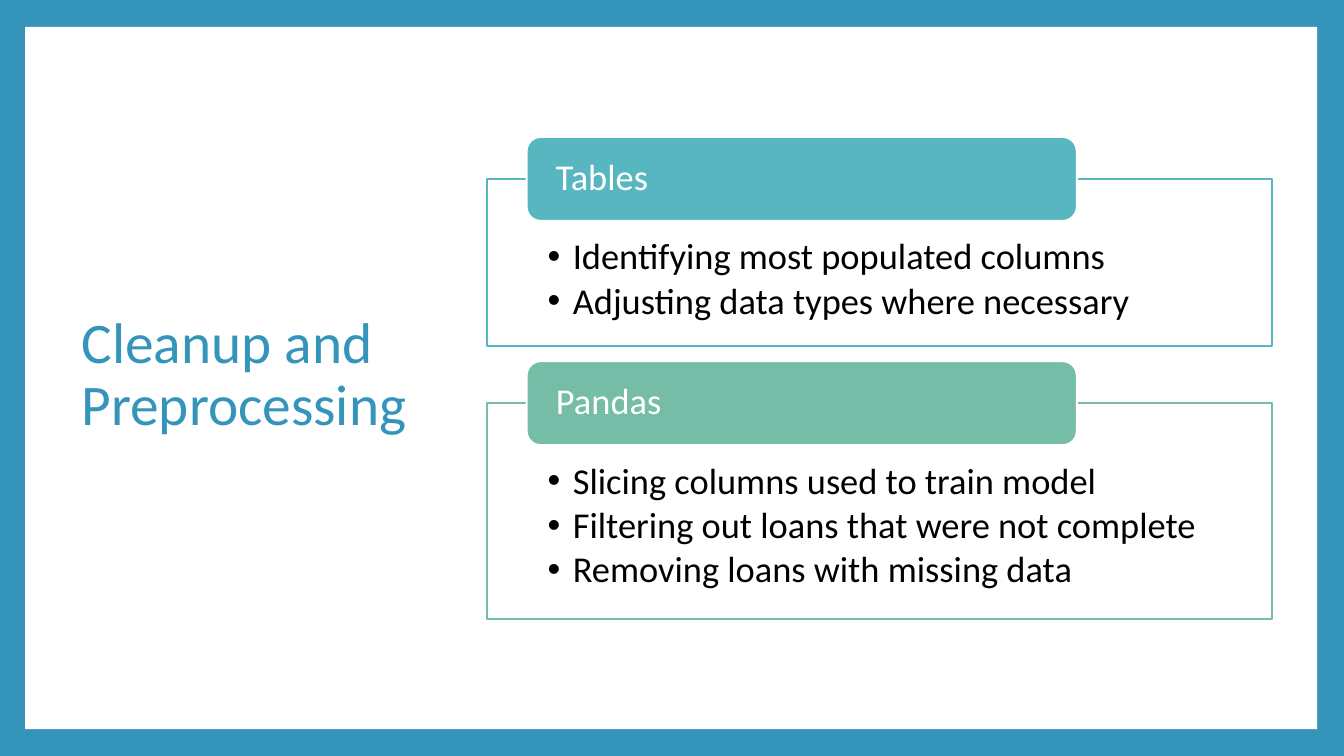
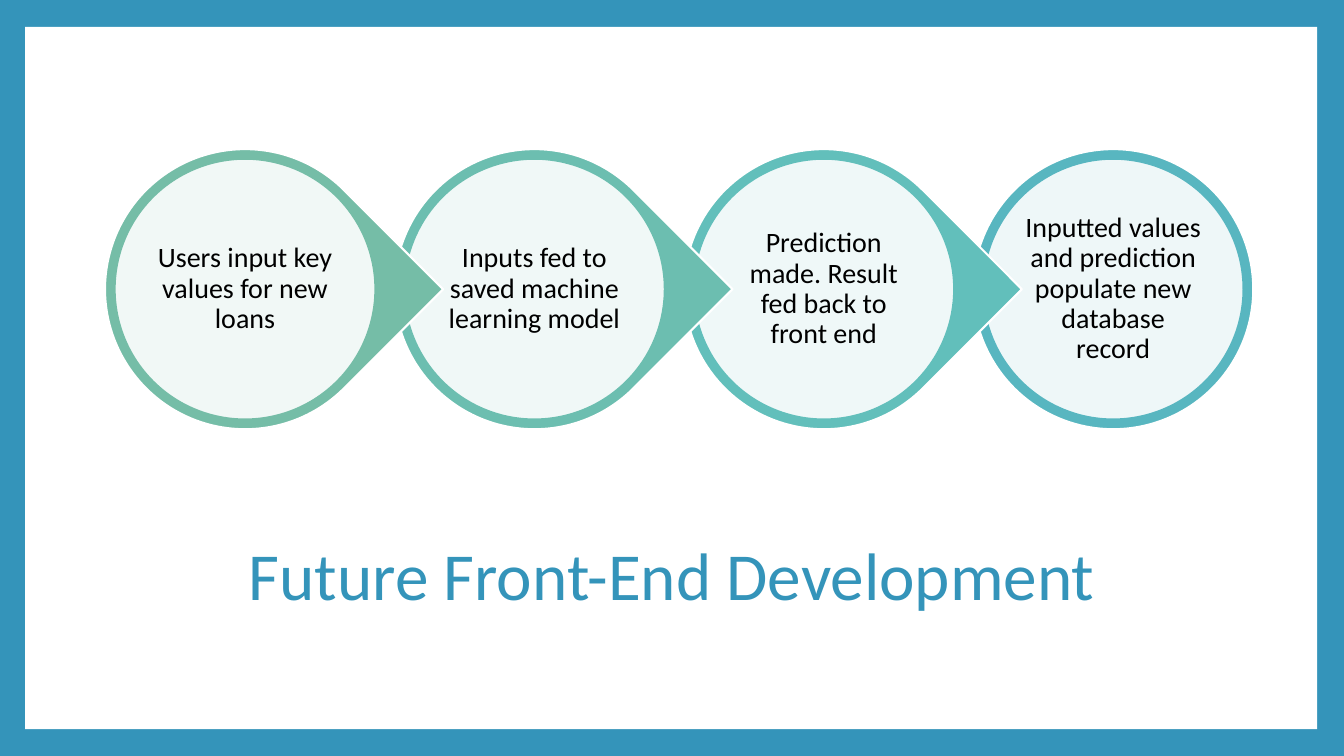
"""Build two slides on data cleanup and front-end plans, on a square grid of 160 columns by 90 rows."""
import pptx
import pptx.dml.color
import pptx.enum.shapes
import pptx.enum.text
import pptx.oxml
import pptx.oxml.ns
import pptx.util

COLS, ROWS = 160, 90
CELL = pptx.util.Inches(13.333) / COLS
FONT = "Calibri"
INK = {
    "blue": "3494BA", "white": "FFFFFF", "black": "000000",
    "aqua": "58B6C0", "teal": "62BFBB", "mint": "6CBEB0", "sage": "75BDA7",
}
KIND = pptx.enum.shapes.MSO_SHAPE
LEFT = pptx.enum.text.PP_ALIGN.LEFT
MID = pptx.enum.text.PP_ALIGN.CENTER
TOP = pptx.enum.text.MSO_ANCHOR.TOP
HALF = pptx.enum.text.MSO_ANCHOR.MIDDLE

PANEL = (3, 3.2, 153.8, 83.6)
TOOLS = [
    ("Tables", "aqua", ["Identifying most populated columns",
                        "Adjusting data types where necessary"]),
    ("Pandas", "sage", ["Slicing columns used to train model",
                        "Filtering out loans that were not complete",
                        "Removing loans with missing data"]),
]
STEPS = [
    ("Users input key values for new loans", "sage"),
    ("Inputs fed to saved machine learning model", "mint"),
    ("Prediction made. Result fed back to front end", "teal"),
    ("Inputted values and prediction populate new database record", "aqua"),
]


def span(cells):
    return pptx.util.Emu(round(cells * CELL))


def tint(name):
    return pptx.dml.color.RGBColor.from_string(INK[name])


def node(tag, **attrs):
    item = pptx.oxml.parse_xml(f"<a:{tag} {pptx.oxml.ns.nsdecls('a')}/>")
    for key, value in attrs.items():
        item.set(key, str(value))
    return item


def write(shape, lines, size, color="black", align=LEFT, anchor=HALF,
          pads=(1.2, 0.6, 1.2, 0.6), after=0, mark=None):
    frame = shape.text_frame
    frame.text = "\n".join(lines)
    frame.word_wrap = True
    frame.auto_size = pptx.enum.text.MSO_AUTO_SIZE.NONE
    frame.vertical_anchor = anchor
    (frame.margin_left, frame.margin_top,
     frame.margin_right, frame.margin_bottom) = map(span, pads)
    for para in frame.paragraphs:
        para.alignment = align
        para.line_spacing = 0.9
        para.space_after = pptx.util.Pt(after)
        para.font.size = pptx.util.Pt(size)
        para.font.name = FONT
        para.font.color.rgb = tint(color)
        if mark:
            props = para._p.get_or_add_pPr()
            props.set("marL", str(span(3)))
            props.set("indent", str(span(-3)))
            props.append(node("buFont", typeface="Arial"))
            props.append(node("buChar", char=mark))


def draw(slide, kind, area, fill, line=None, alpha=None):
    shape = slide.shapes.add_shape(kind, *map(span, area))
    shape.shadow.inherit = False
    shape.fill.solid()
    shape.fill.fore_color.rgb = tint(fill)
    if alpha:
        tone = shape._element.spPr.find(".//" + pptx.oxml.ns.qn("a:srgbClr"))
        tone.append(node("alpha", val=alpha * 1000))
    if line:
        shape.line.color.rgb = tint(line)
        shape.line.width = pptx.util.Pt(1.5)
    else:
        shape.line.fill.background()
    return shape


def start(deck, text, area, size, align=LEFT):
    slide = deck.slides.add_slide(deck.slide_layouts[5])
    title = slide.shapes.title
    title.left, title.top, title.width, title.height = map(span, area)
    write(title, [text], size, color="blue", align=align)
    return slide


def theme(deck, slide):
    base = deck.slide_master
    base.background.fill.solid()
    base.background.fill.fore_color.rgb = tint("blue")
    panel = draw(slide, KIND.RECTANGLE, PANEL, "white")
    panel._element.nvSpPr.cNvPr.set("id", "99")
    base.shapes._spTree.insert(2, panel._element)


def card(slide, top, name, color, notes):
    left, width, high = 58, 93.4, 8.2 + 5.85 * len(notes)
    box = draw(slide, KIND.RECTANGLE, (left, top, width, high),
               "white", line=color, alpha=90)
    write(box, notes, 26, anchor=TOP, pads=(7.2, 7.1, 7.2, 2.4),
          after=3.6, mark="•")
    tab = draw(slide, KIND.ROUNDED_RECTANGLE,
               (left + 4.7, top - 5, 65.5, 10), color, line="white")
    write(tab, [name], 26, color="white", pads=(3, 0, 3, 0))
    return top + high


def step(slide, left, text, color, last):
    top, size, rim = 17.75, 33.35, 1.15
    kind = KIND.OVAL if last else KIND.TEAR
    back = draw(slide, kind, (left, top, size, size), color, line="white")
    if not last:
        back.rotation = 45
    inner = size - 2 * rim
    disc = draw(slide, KIND.OVAL, (left + rim, top + rim, inner, inner),
                "white", line=color, alpha=90)
    write(disc, [text], 20, align=MID, pads=(0.2,) * 4)


def main():
    deck = pptx.Presentation()
    deck.slide_width, deck.slide_height = span(COLS), span(ROWS)

    clean = start(deck, "Cleanup and Preprocessing", (8.5, 8, 44.2, 73.6), 41)
    theme(deck, clean)
    top, gap = 21.3, 6.8
    for name, color, notes in TOOLS:
        top = card(clean, top, name, color, notes) + gap

    plan = start(deck, "Future Front-End Development",
                 (13.7, 61.4, 132.6, 15), 48, align=MID)
    first, pitch = 12.5, 34.45
    final = len(STEPS) - 1
    for spot, (text, color) in reversed(list(enumerate(STEPS))):
        step(plan, first + spot * pitch, text, color, spot == final)

    deck.save("out.pptx")


if __name__ == "__main__":
    main()
